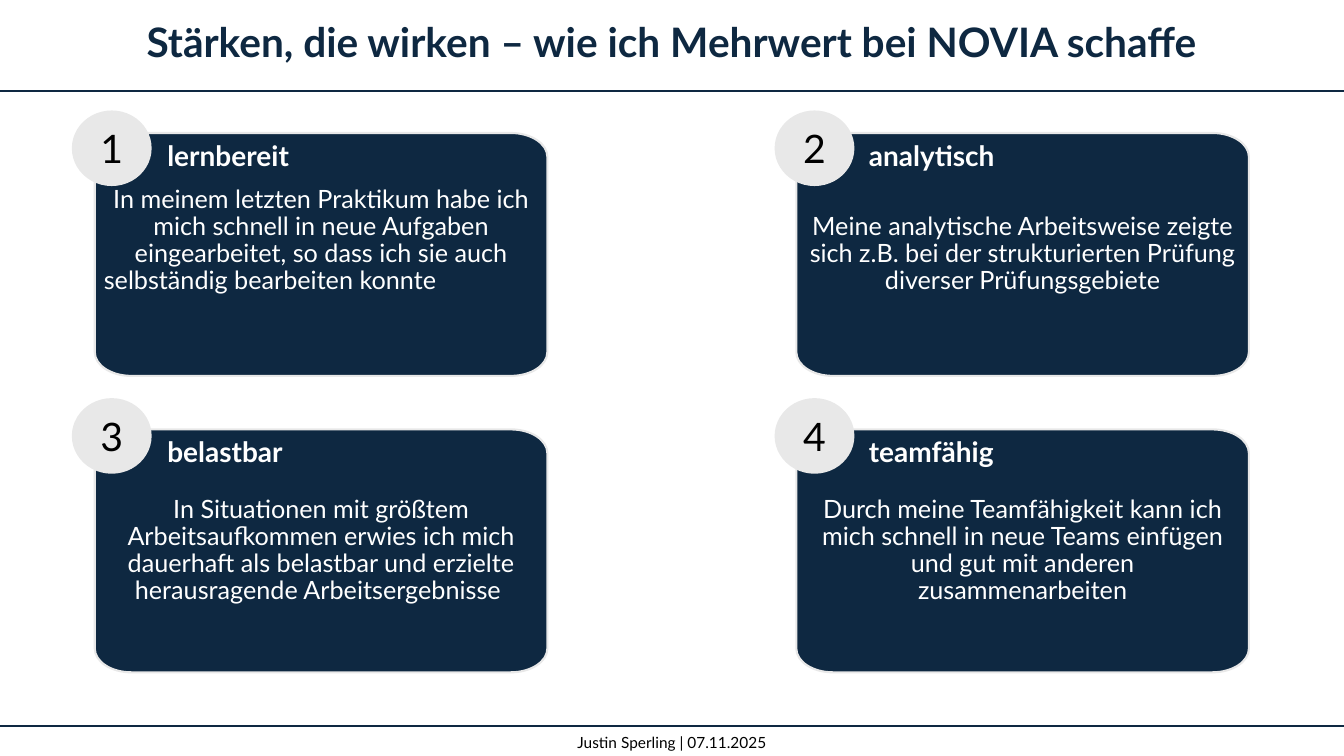
from lxml.etree import SubElement
from pptx import Presentation
from pptx.dml.color import RGBColor
from pptx.enum.shapes import MSO_CONNECTOR, MSO_SHAPE
from pptx.enum.text import MSO_ANCHOR as Anchor, PP_ALIGN as Align
from pptx.oxml.ns import qn
from pptx.util import Pt

COLORS = {"navy": "0E2841", "grey": "E8E8E8", "white": "FFFFFF", "black": "000000"}
FONT = "Lato"
SLIDE_WIDTH, SLIDE_HEIGHT = 960, 540
CARD_WIDTH, CARD_HEIGHT = 323.3, 173.5
CORNER_X, CORNER_Y, CURVE = 26, 17, 0.55
COLUMN_LEFTS = (67.7, 568.8)
ROW_TOPS = (95, 306.7)
BADGE_LEFTS = (51.3, 553.3)
BADGE_TOPS = (78.9, 284.4)
CARD_INSET = 6.5
STRENGTHS = [
    ("lernbereit", [("In meinem letzten Praktikum habe ich mich schnell in neue Aufgaben "
                     "eingearbeitet, so dass ich sie auch", Align.CENTER),
                    ("selbständig bearbeiten konnte", Align.LEFT)], 26),
    ("analytisch", [("Meine analytische Arbeitsweise zeigte sich z.B. bei der "
                     "strukturierten Prüfung diverser Prüfungsgebiete", Align.CENTER)],
     CARD_INSET),
    ("belastbar", [("In Situationen mit größtem Arbeitsaufkommen erwies ich mich dauerhaft "
                    "als belastbar und erzielte herausragende Arbeitsergebnisse ",
                    Align.CENTER)], CARD_INSET),
    ("teamfähig", [("Durch meine Teamfähigkeit kann ich mich schnell in neue Teams "
                    "einfügen und gut mit anderen zusammenarbeiten", Align.CENTER)],
     CARD_INSET),
]


def rgb(name):
    """Return the named colour."""
    return RGBColor.from_string(COLORS[name])


def write_text(shape, parts, size, color, bold=False, anchor=Anchor.MIDDLE,
               spacing=1.0, insets=(7.2, 3.6, 7.2, 3.6)):
    """Write pairs of text and alignment as formatted paragraphs into a shape."""
    frame = shape.text_frame
    frame.word_wrap = True
    frame.vertical_anchor = anchor
    frame.margin_left, frame.margin_top, frame.margin_right, frame.margin_bottom = map(Pt, insets)
    for index, (text, align) in enumerate(parts):
        paragraph = frame.add_paragraph() if index else frame.paragraphs[0]
        paragraph.alignment = align
        paragraph.line_spacing = spacing
        run = paragraph.add_run()
        run.text = text
        run.font.name = FONT
        run.font.size = Pt(size)
        run.font.bold = bold
        run.font.color.rgb = rgb(color)


def add_text(slide, box, text, align=Align.CENTER, **text_format):
    """Add a text box with one paragraph."""
    write_text(slide.shapes.add_textbox(*map(Pt, box)), [(text, align)], **text_format)


def add_rule(slide, top):
    """Draw a thin line across the slide."""
    line = slide.shapes.add_connector(
        MSO_CONNECTOR.STRAIGHT, Pt(0), Pt(top), Pt(SLIDE_WIDTH), Pt(top))
    line.line.color.rgb = rgb("navy")
    line.line.width = Pt(1.5)
    SubElement(line._element.spPr, qn("a:effectLst"))


def round_corners(shape, points):
    """Turn every second segment of an eight-point outline into a curve."""
    left, top = shape.left, shape.top
    segments = list(shape._element.iter(qn("a:lnTo")))
    for index in range(0, len(segments), 2):
        start, end = points[index], points[index + 1]
        corner = (start[0], end[1]) if index % 4 == 0 else (end[0], start[1])
        controls = [tuple(round(a + CURVE * (b - a)) for a, b in zip(point, corner))
                    for point in (start, end)]
        segment = segments[index]
        segment.tag
        curve = segment.getparent().makeelement(qn("a:cubicBezTo"))
        for x, y in (*controls, end):
            SubElement(curve, qn("a:pt"), x=str(x - left), y=str(y - top))
        segment.getparent().replace(segment, curve)


def add_panel(slide, box, parts, bottom_inset):
    """Draw the dark rounded panel with its description."""
    left, top, width, height = box
    right, bottom = left + width, top + height
    outline = [
        (left, top + CORNER_Y), (left + CORNER_X, top),
        (right - CORNER_X, top), (right, top + CORNER_Y),
        (right, bottom - CORNER_Y), (right - CORNER_X, bottom),
        (left + CORNER_X, bottom), (left, bottom - CORNER_Y),
    ]
    points = [(Pt(x), Pt(y)) for x, y in outline]
    builder = slide.shapes.build_freeform(*points[0])
    builder.add_line_segments(points[1:], close=True)
    panel = builder.convert_to_shape()
    round_corners(panel, points)
    panel.shadow.inherit = False
    panel.fill.solid()
    panel.fill.fore_color.rgb = rgb("navy")
    panel.line.color.rgb = rgb("grey")
    panel.line.width = Pt(1.5)
    write_text(panel, parts, size=18, color="white", spacing=0.9,
               insets=(CARD_INSET, CARD_INSET, CARD_INSET, bottom_inset))


def add_badge(slide, box, number):
    """Draw the numbered ellipse."""
    badge = slide.shapes.add_shape(MSO_SHAPE.OVAL, *map(Pt, box))
    badge.shadow.inherit = False
    badge.fill.solid()
    badge.fill.fore_color.rgb = rgb("grey")
    badge.line.fill.background()
    write_text(badge, [(str(number), Align.CENTER)], size=28, color="black")


def add_strength(slide, box, badge_corner, number, strength):
    """Place panel, badge and heading of one strength."""
    left, top = box[:2]
    heading, parts, bottom_inset = strength
    add_panel(slide, box, parts, bottom_inset)
    add_badge(slide, (*badge_corner, 57, 54), number)
    add_text(slide, (left + 44.7, top + 0.4, 234, 31.5), heading, size=20,
             color="white", bold=True, align=Align.LEFT, anchor=Anchor.TOP)


def add_header(slide, box):
    """Place the title above its line."""
    add_text(slide, box, "Stärken, die wirken – wie ich Mehrwert bei NOVIA schaffe",
             size=29, color="navy", bold=True, spacing=0.9)
    add_rule(slide, box[1] + box[3] + 1.8)


def add_footer(slide, box):
    """Place the name and date below their line."""
    add_rule(slide, box[1] - 1.4)
    add_text(slide, box, "Justin Sperling | 07.11.2025", size=11, color="black",
             anchor=Anchor.TOP)


def main():
    """Build and save the slide."""
    presentation = Presentation()
    presentation.slide_width = Pt(SLIDE_WIDTH)
    presentation.slide_height = Pt(SLIDE_HEIGHT)
    slide = presentation.slides.add_slide(presentation.slide_layouts[6])
    add_header(slide, (0, 0, SLIDE_WIDTH, 63))
    for index, strength in enumerate(STRENGTHS):
        row, column = divmod(index, len(COLUMN_LEFTS))
        box = (COLUMN_LEFTS[column], ROW_TOPS[row], CARD_WIDTH, CARD_HEIGHT)
        badge_corner = (BADGE_LEFTS[column], BADGE_TOPS[row])
        add_strength(slide, box, badge_corner, index + 1, strength)
    add_footer(slide, (0, 519.8, SLIDE_WIDTH, 20.2))
    presentation.save("out.pptx")


if __name__ == "__main__":
    main()
